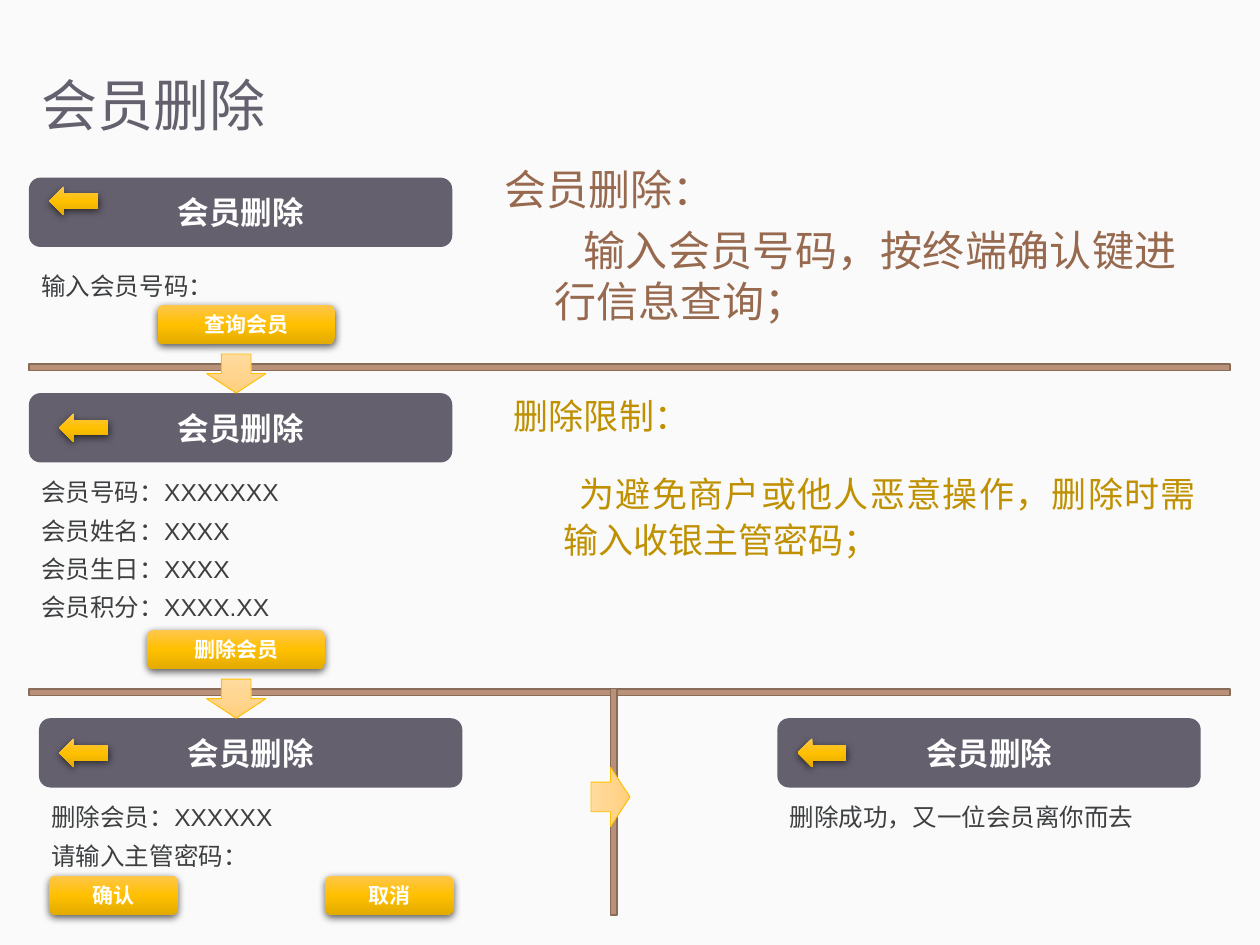
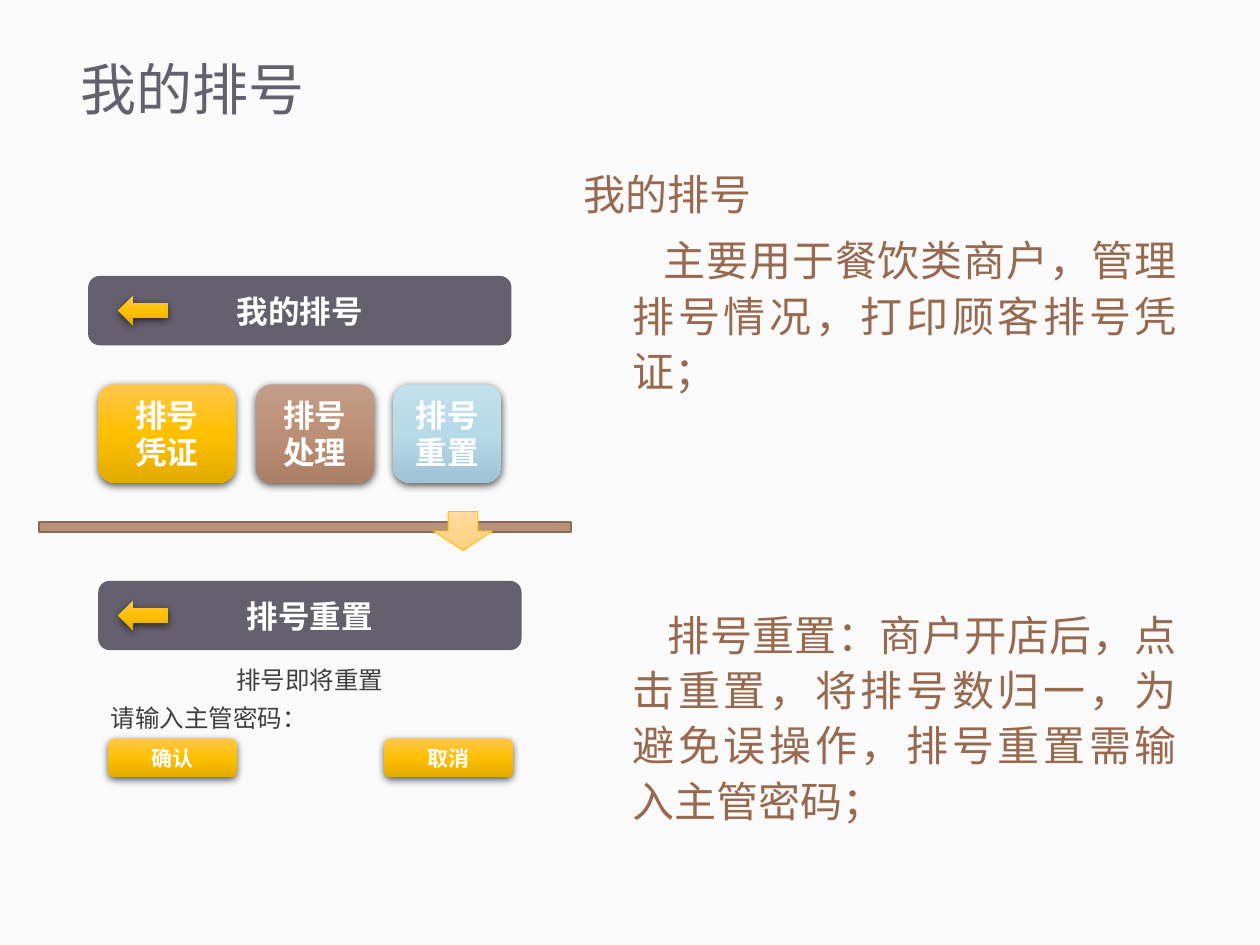
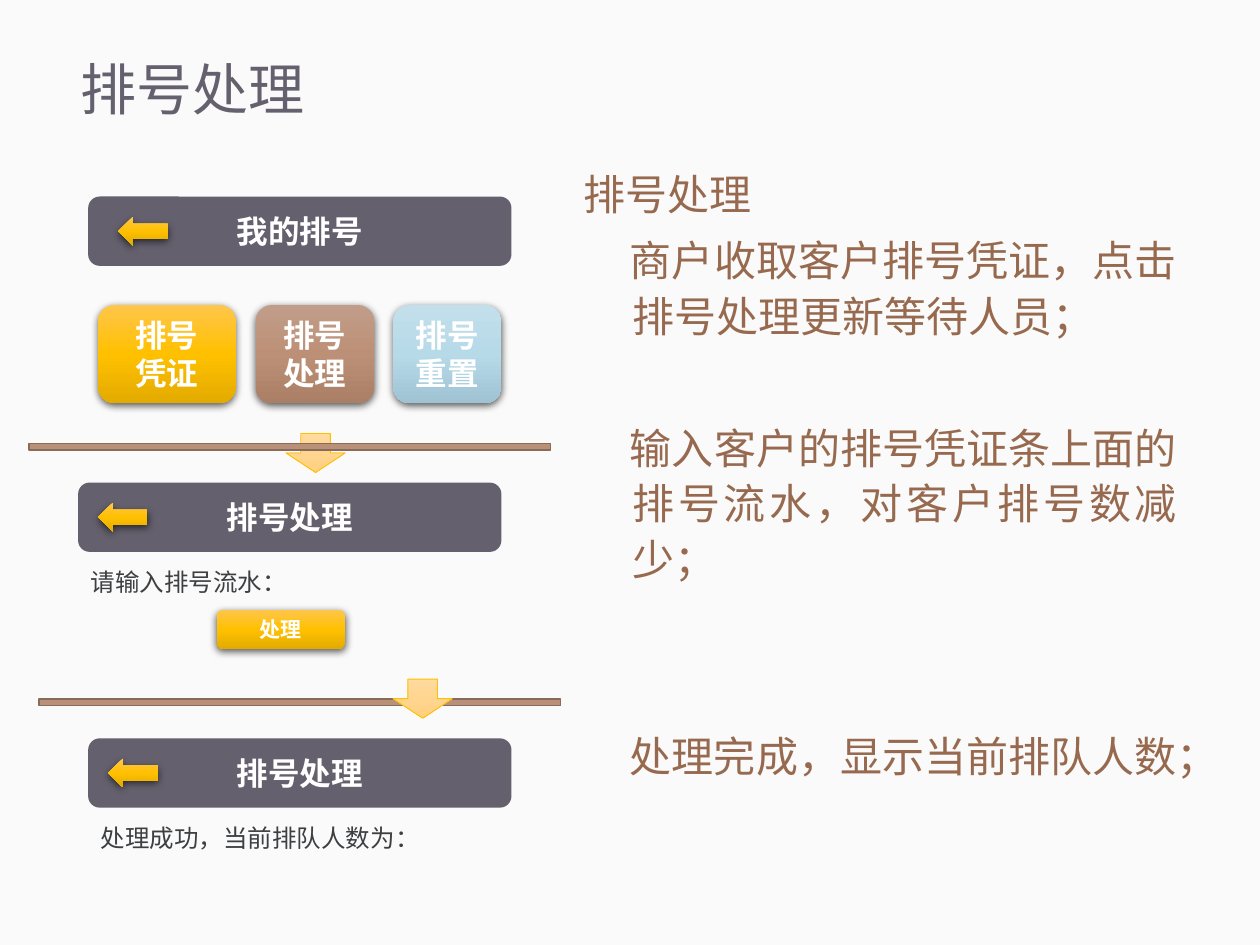
from dataclasses import dataclass
from typing import Optional

import lxml.etree
import pptx
import pptx.dml.color
import pptx.enum.shapes
import pptx.enum.text
import pptx.oxml
import pptx.oxml.ns
import pptx.util

Inches = pptx.util.Inches
Pt = pptx.util.Pt
SHAPE = pptx.enum.shapes.MSO_SHAPE
ALIGN = pptx.enum.text.PP_ALIGN
ANCHOR = pptx.enum.text.MSO_ANCHOR

CJK = "Noto Sans CJK SC"
LATIN = "Arial"
PAGE = "FAFAFA"
SLATE = "64606D"
BROWN = "976A4F"
OCHRE = "BF9000"
INK = "3D3F41"
WHITE = "FFFFFF"
BAND, BAND_EDGE = "B99179", "896B5A"
GOLD_EDGE = "FFC000"
GOLD = ("FFC64B", "FFC000", "E3AB00")
CLAY = ("C19D89", "BC9076", "AB7F65")
SKY = ("C3DFEB", "B7DAE9", "9FC3D3")
PALE_GOLD = ("FFDB9E", "FFD590", "FFD07C")


@dataclass(frozen=True)
class Box:
    left: float
    top: float
    width: float
    height: float

    def lengths(self) -> list:
        return [Inches(n) for n in (self.left, self.top, self.width, self.height)]


@dataclass(frozen=True)
class Line:
    text: str
    align: Optional[ALIGN] = None
    before: float = 0
    margin: float = 0
    indent: float = 0


@dataclass(frozen=True)
class Style:
    size: float
    font: str
    color: str
    bold: bool = False
    spacing: float = 1.0


@dataclass(frozen=True)
class Screen:
    left: float
    top: float
    heading: str
    fields: tuple = ()
    back_dx: float = 0.16
    back_dy: float = 0.16
    field_dy: float = 0.55


@dataclass(frozen=True)
class Button:
    box: Box
    lines: tuple
    stops: tuple = GOLD
    size: float = 12


@dataclass(frozen=True)
class Divider:
    box: Box
    rotation: float = 0


@dataclass(frozen=True)
class Step:
    left: float
    top: float
    rotation: float = 0


TITLE = Style(32, CJK, SLATE, spacing=0.9)
HEADING = Style(18, CJK, WHITE, bold=True)
FIELD = Style(14, LATIN, INK, spacing=1.3)
NOTE = Style(24, CJK, BROWN, spacing=1.1)
FIRST_NOTE = Style(24, CJK, BROWN)
LIMIT = Style(20, LATIN, OCHRE, spacing=1.1)


def rgb(value: str) -> pptx.dml.color.RGBColor:
    return pptx.dml.color.RGBColor.from_string(value)


def write(frame, lines: tuple, style: Style, anchor: ANCHOR) -> None:
    frame.word_wrap = True
    frame.vertical_anchor = anchor
    for number, line in enumerate(lines):
        paragraph = frame.add_paragraph() if number else frame.paragraphs[0]
        paragraph.text = line.text
        paragraph.alignment = line.align
        paragraph.line_spacing = style.spacing
        paragraph.space_before = Pt(line.before)
        font = paragraph.font
        font.size, font.name, font.bold = Pt(style.size), style.font, style.bold
        font.color.rgb = rgb(style.color)
        properties = paragraph._p.get_or_add_pPr()
        properties.set("marL", str(Inches(line.margin)))
        properties.set("indent", str(Inches(line.indent)))


def add_text(slide, box: Box, lines: tuple, style: Style, anchor=ANCHOR.TOP) -> None:
    write(slide.shapes.add_textbox(*box.lengths()).text_frame, lines, style, anchor)


def add_shape(slide, kind: SHAPE, box: Box, fill: Optional[str] = None,
              edge: Optional[str] = None, edge_width: float = 1, rotation: float = 0):
    shape = slide.shapes.add_shape(kind, *box.lengths())
    shape.shadow.inherit = False
    shape.rotation = rotation
    if fill:
        shape.fill.solid()
        shape.fill.fore_color.rgb = rgb(fill)
    if edge:
        shape.line.color.rgb = rgb(edge)
        shape.line.width = Pt(edge_width)
    else:
        shape.line.fill.background()
    return shape


def shade(shape, stops: tuple) -> None:
    shape.fill.gradient()
    gradient = shape._element.spPr.find(pptx.oxml.ns.qn("a:gradFill"))
    marks = "".join(
        f'<a:gs pos="{number * 50000}"><a:srgbClr val="{color}"/></a:gs>'
        for number, color in enumerate(stops))
    space = pptx.oxml.ns.nsdecls("a")
    gradient.replace(gradient.find(pptx.oxml.ns.qn("a:gsLst")),
                     pptx.oxml.parse_xml(f"<a:gsLst {space}>{marks}</a:gsLst>"))
    gradient.find(pptx.oxml.ns.qn("a:lin")).set("ang", "5400000")


def drop_shadow(shape) -> None:
    effects = shape._element.spPr.find(pptx.oxml.ns.qn("a:effectLst"))
    shadow = lxml.etree.SubElement(
        effects, pptx.oxml.ns.qn("a:outerShdw"), blurRad=str(Pt(4.5)),
        dist=str(Pt(1.5)), dir="5400000", algn="ctr", rotWithShape="0")
    color = lxml.etree.SubElement(shadow, pptx.oxml.ns.qn("a:srgbClr"), val="000000")
    lxml.etree.SubElement(color, pptx.oxml.ns.qn("a:alpha"), val="63000")


def draw_screen(slide, screen: Screen) -> None:
    header = add_shape(slide, SHAPE.ROUNDED_RECTANGLE,
                       Box(screen.left, screen.top, 3.36, 0.55), SLATE)
    write(header.text_frame, (Line(screen.heading, ALIGN.CENTER),), HEADING, ANCHOR.MIDDLE)
    back = add_shape(slide, SHAPE.LEFT_ARROW,
                     Box(screen.left + screen.back_dx, screen.top + screen.back_dy, 0.39, 0.23))
    shade(back, GOLD)
    drop_shadow(back)
    if screen.fields:
        height = 0.1 + 0.3 * len(screen.fields)
        add_text(slide, Box(screen.left, screen.top + screen.field_dy, 3.36, height),
                 screen.fields, FIELD)


def draw_button(slide, button: Button) -> None:
    shape = add_shape(slide, SHAPE.ROUNDED_RECTANGLE, button.box)
    shade(shape, button.stops)
    drop_shadow(shape)
    lines = tuple(Line(text, ALIGN.CENTER) for text in button.lines)
    write(shape.text_frame, lines, Style(button.size, CJK, WHITE, bold=True), ANCHOR.MIDDLE)


def draw_divider(slide, divider: Divider) -> None:
    add_shape(slide, SHAPE.RECTANGLE, divider.box, BAND, BAND_EDGE, rotation=divider.rotation)


def draw_step(slide, step: Step) -> None:
    arrow = add_shape(slide, SHAPE.DOWN_ARROW, Box(step.left, step.top, 0.47, 0.31),
                      edge=GOLD_EDGE, edge_width=0.5, rotation=step.rotation)
    shade(arrow, PALE_GOLD)


PAINTERS = {Screen: draw_screen, Button: draw_button, Divider: draw_divider, Step: draw_step}


def small_button(left: float, top: float, text: str, width: float = 1.02) -> Button:
    return Button(Box(left, top, width, 0.31), (text,))


def confirm_buttons(left: float, top: float) -> list:
    return [small_button(left, top, "确认"), small_button(left + 2.19, top, "取消")]


def queue_menu(top: float) -> list:
    tiles = ((0.78, 1.09, ("排号", "凭证"), GOLD),
             (2.03, 0.94, ("排号处理",), CLAY),
             (3.12, 0.86, ("排号重置",), SKY))
    return [Screen(0.7, top, "我的排号", back_dx=0.24)] + [
        Button(Box(left, top + 0.86, width, 0.78), lines, stops, 18)
        for left, width, lines, stops in tiles]


def note(text: str, before: float = 6, first: float = 0) -> Line:
    return Line(text, ALIGN.JUSTIFY, before, 0.39, first)


def label(text: str, before: float = 6) -> Line:
    return note(text, before, -0.39)


def fields(*texts: str) -> tuple:
    return tuple(Line(text) for text in texts)


def add_page(deck, title: str, title_box: Box, parts: list):
    slide = deck.slides.add_slide(deck.slide_layouts[6])
    add_text(slide, title_box, (Line(title),), TITLE, ANCHOR.MIDDLE)
    for part in parts:
        PAINTERS[type(part)](slide, part)
    return slide


def add_member_removal(deck) -> None:
    heading = "会员删除"
    slide = add_page(deck, heading, Box(0.23, 0.47, 9.07, 0.78), [
        Screen(0.23, 1.41, heading, fields("输入会员号码："), back_dy=0.07, field_dy=0.62),
        Screen(0.23, 3.12, heading,
               fields("会员号码：XXXXXXX", "会员姓名：XXXX", "会员生日：XXXX", "会员积分：XXXX.XX"),
               back_dx=0.24),
        Screen(0.31, 5.7, heading, fields("删除会员：XXXXXX", "请输入主管密码：")),
        Screen(6.17, 5.7, heading, fields("删除成功，又一位会员离你而去")),
        Divider(Box(0.23, 2.89, 9.53, 0.05)),
        Divider(Box(0.23, 5.47, 9.53, 0.05)),
        Divider(Box(3.97, 6.34, 1.8, 0.05), 90),
        Step(1.64, 2.81),
        Step(1.64, 5.39),
        Step(4.61, 6.17, 270),
        small_button(1.25, 2.42, "查询会员", 1.41),
        small_button(1.17, 5, "删除会员", 1.41),
        *confirm_buttons(0.39, 6.95),
    ])
    add_text(slide, Box(3.91, 1.25, 5.53, 1.48), (
        label("会员删除："),
        note("输入会员号码，按终端确认键进行信息查询；", first=0.23)), FIRST_NOTE)
    add_text(slide, Box(3.98, 3.05, 5.61, 1.48), (
        label("删除限制：", 18),
        note("为避免商户或他人恶意操作，删除时需输入收银主管密码；", 18, 0.13)), LIMIT)


def add_queue_overview(deck) -> None:
    slide = add_page(deck, "我的排号", Box(0.54, 0.22, 8.98, 1.02), [
        *queue_menu(2.19),
        Divider(Box(0.31, 4.14, 4.22, 0.08)),
        Step(3.44, 4.06),
        Screen(0.78, 4.61, "排号重置",
               (Line("排号即将重置", ALIGN.CENTER), Line("请输入主管密码："))),
        *confirm_buttons(0.86, 5.86),
    ])
    add_text(slide, Box(4.53, 1.25, 4.91, 5.7), (
        label("我的排号"),
        note("主要用于餐饮类商户，管理排号情况，打印顾客排号凭证；", first=0.25),
        note("排号重置：商户开店后，点击重置，将排号数归一，为避免误操作，排号重置需输入主管密码；",
             119, 0.28)), NOTE)


def add_queue_handling(deck) -> None:
    heading = "排号处理"
    slide = add_page(deck, heading, Box(0.54, 0.22, 8.98, 1.02), [
        *queue_menu(1.56),
        Step(2.27, 3.44),
        Divider(Box(0.23, 3.52, 4.14, 0.05)),
        Screen(0.62, 3.83, heading, fields("请输入排号流水：")),
        small_button(1.72, 4.84, "处理"),
        Divider(Box(0.31, 5.55, 4.14, 0.05)),
        Step(3.12, 5.39),
        Screen(0.7, 5.86, heading, fields("处理成功，当前排队人数为：")),
    ])
    add_text(slide, Box(4.53, 1.25, 4.91, 5.86), (
        label(heading),
        note("商户收取客户排号凭证，点击排号处理更新等待人员；", first=-0.02),
        note("输入客户的排号凭证条上面的排号流水，对客户排号数减少；", 44, -0.02),
        note("处理完成，显示当前排队人数；", 81, -0.02)), NOTE)


def main() -> None:
    deck = pptx.Presentation()
    deck.slide_width, deck.slide_height = Inches(10), Inches(7.5)
    background = deck.slide_master.background.fill
    background.solid()
    background.fore_color.rgb = rgb(PAGE)
    add_member_removal(deck)
    add_queue_overview(deck)
    add_queue_handling(deck)
    deck.save("out.pptx")


if __name__ == "__main__":
    main()
